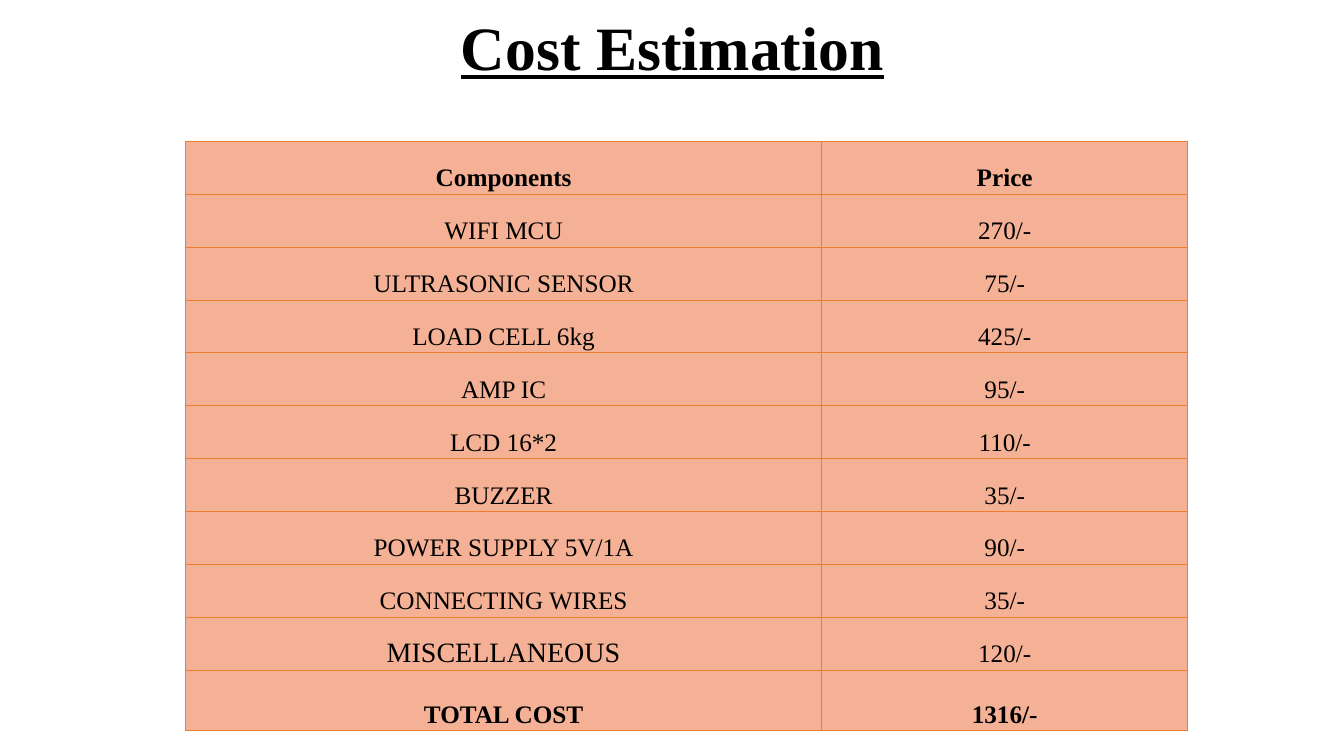
import pptx
import pptx.dml.color
import pptx.enum.text
import pptx.oxml
import pptx.oxml.ns
import pptx.util

Inches = pptx.util.Inches
Pt = pptx.util.Pt
RGBColor = pptx.dml.color.RGBColor
ANCHOR = pptx.enum.text.MSO_ANCHOR

BLACK = RGBColor(0x00, 0x00, 0x00)
SALMON = RGBColor(0xF5, 0xB1, 0x95)
ORANGE = RGBColor(0xED, 0x7D, 0x31)
FONT = "Times New Roman"

COSTS = [
    ("Components", "Price"),
    ("WIFI MCU", "270/-"),
    ("ULTRASONIC SENSOR", "75/-"),
    ("LOAD CELL 6kg", "425/-"),
    ("AMP IC", "95/-"),
    ("LCD 16*2", "110/-"),
    ("BUZZER", "35/-"),
    ("POWER SUPPLY 5V/1A", "90/-"),
    ("CONNECTING WIRES", "35/-"),
    ("MISCELLANEOUS", "120/-"),
    ("TOTAL COST", "1316/-"),
]
COLUMN_WIDTHS = (Inches(6.31), Inches(3.63))
ITEM_HEIGHT = Inches(5.25) // 10
TOTAL_HEIGHT = Inches(0.6)


def write(tf, text, size=18, bold=False, underline=False, spacing=1.0):
    p = tf.paragraphs[0]
    p.alignment = pptx.enum.text.PP_ALIGN.CENTER
    p.line_spacing = spacing
    r = p.add_run()
    r.text = text
    r.font.name = FONT
    r.font.size = Pt(size)
    r.font.bold = bold
    r.font.underline = underline
    r.font.color.rgb = BLACK


def add_title(s, text):
    sp = s.shapes.title
    sp.left, sp.top = Inches(0.92), Inches(0)
    sp.width, sp.height = Inches(11.5), Inches(1)
    sp.text_frame.vertical_anchor = ANCHOR.MIDDLE
    write(sp.text_frame, text, size=44, bold=True, underline=True, spacing=0.9)


def set_borders(cell, color, width):
    tc_pr = cell._tc.get_or_add_tcPr()
    for side in ("lnL", "lnR", "lnT", "lnB"):
        tc_pr.append(pptx.oxml.parse_xml(
            f'<a:{side} {pptx.oxml.ns.nsdecls("a")} w="{width}">'
            f'<a:solidFill><a:srgbClr val="{color}"/></a:solidFill></a:{side}>'))


def format_cell(cell):
    cell.margin_left = cell.margin_right = Inches(0.03)
    cell.margin_top = cell.margin_bottom = Inches(0.02)
    cell.vertical_anchor = ANCHOR.BOTTOM
    set_borders(cell, ORANGE, Pt(0.5))
    cell.fill.solid()
    cell.fill.fore_color.rgb = SALMON


def add_cost_table(s, costs):
    last = len(costs) - 1
    table = s.shapes.add_table(
        len(costs), len(COLUMN_WIDTHS), Inches(1.84), Inches(1.4),
        sum(COLUMN_WIDTHS), ITEM_HEIGHT * last + TOTAL_HEIGHT).table
    for column, width in zip(table.columns, COLUMN_WIDTHS):
        column.width = width
    for i, values in enumerate(costs):
        table.rows[i].height = TOTAL_HEIGHT if i == last else ITEM_HEIGHT
        for cell, text in zip(table.rows[i].cells, values):
            format_cell(cell)
            write(cell.text_frame, text, bold=i in (0, last),
                  size=20 if text == "MISCELLANEOUS" else 18)


def main():
    prs = pptx.Presentation()
    prs.slide_width, prs.slide_height = Inches(13.33), Inches(7.5)
    s = prs.slides.add_slide(prs.slide_layouts[5])
    add_title(s, "Cost Estimation")
    add_cost_table(s, COSTS)
    prs.save("out.pptx")


if __name__ == "__main__":
    main()
